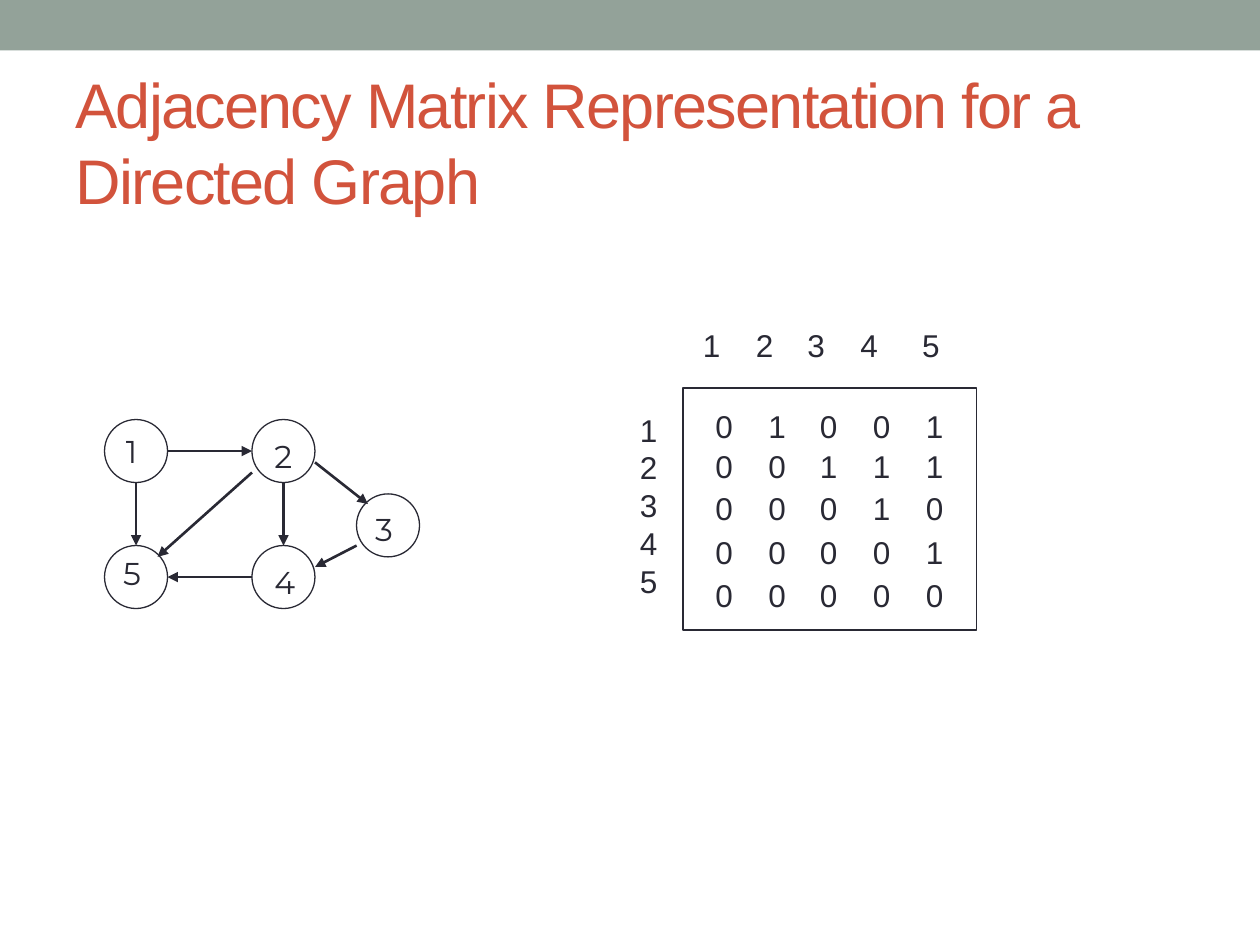
from lxml import etree
from pptx import Presentation
from pptx.dml.color import RGBColor
from pptx.enum.shapes import MSO_CONNECTOR, MSO_SHAPE
from pptx.enum.text import MSO_ANCHOR, MSO_AUTO_SIZE, PP_ALIGN
from pptx.oxml.ns import qn
from pptx.util import Inches, Pt

RECTANGLE, OVAL = MSO_SHAPE.RECTANGLE, MSO_SHAPE.OVAL
STRAIGHT = MSO_CONNECTOR.STRAIGHT
MIDDLE, LEFT, NO_FIT = MSO_ANCHOR.MIDDLE, PP_ALIGN.LEFT, MSO_AUTO_SIZE.NONE

SAGE = RGBColor(0x93, 0xA2, 0x99)
RUST = RGBColor(0xD2, 0x53, 0x3C)
INK = RGBColor(0x29, 0x29, 0x34)

TITLE = "Adjacency Matrix Representation for a Directed Graph"
VERTICES = "12345"
NODE_SIZE = 0.5
NODES = [
    ("1", (0.83, 3.33), (0.9, 3.38)),
    ("5", (0.83, 4.33), (0.88, 4.35)),
    ("4", (2, 4.33), (2.08, 4.42)),
    ("2", (2, 3.33), (2.08, 3.42)),
    ("3", (2.83, 3.92), (2.88, 4)),
]
EDGES = [
    ((2, 3.75), (1.25, 4.42)),
    ((1.08, 3.83), (1.08, 4.33)),
    ((1.33, 3.58), (2, 3.58)),
    ((2, 4.58), (1.33, 4.58)),
    ((2.25, 3.83), (2.25, 4.33)),
    ((2.5, 3.67), (2.92, 4)),
    ((2.83, 4.33), (2.5, 4.5)),
]
MATRIX = [
    (3.18, "01001"),
    (3.5, "00111"),
    (3.83, "00010"),
    (4.18, "00001"),
    (4.52, "00000"),
]
COLUMN_STOPS = [0.42, 0.83, 1.25, 1.67]
HEADER_STOPS = [0.42, 0.83, 1.25, 1.74]


def style_font(font, size, color, name="Arial"):
    font.size = Pt(size)
    font.name = name
    font.color.rgb = color


def add_title(slide):
    title = slide.shapes.title
    title.left, title.top = Inches(0.5), Inches(0.58)
    title.width, title.height = Inches(9), Inches(1.08)
    frame = title.text_frame
    frame.text = TITLE
    frame.auto_size = NO_FIT
    frame.vertical_anchor = MIDDLE
    paragraph = frame.paragraphs[0]
    paragraph.alignment = LEFT
    style_font(paragraph.font, 36, RUST)
    paragraph.runs[0].font._element.set("spc", "-100")


def add_outline(slide, preset, left, top, width, height):
    outline = slide.shapes.add_shape(
        preset, Inches(left), Inches(top), Inches(width), Inches(height))
    outline.shadow.inherit = False
    outline.fill.background()
    outline.line.color.rgb = INK
    outline.line.width = Pt(0.75)


def add_top_bar(slide):
    bar = slide.shapes.add_shape(RECTANGLE, 0, 0, Inches(10), Inches(0.4))
    bar.shadow.inherit = False
    bar.fill.solid()
    bar.fill.fore_color.rgb = SAGE
    bar.line.fill.background()


def add_label(slide, text, left, top, width, height=0.4, font_name="Arial", stops=()):
    label = slide.shapes.add_textbox(
        Inches(left), Inches(top), Inches(width), Inches(height))
    frame = label.text_frame
    frame.word_wrap = True
    frame.text = text
    for paragraph in frame.paragraphs:
        if stops:
            tab_list = etree.SubElement(
                paragraph._p.get_or_add_pPr(), qn("a:tabLst"))
            for stop in stops:
                etree.SubElement(
                    tab_list, qn("a:tab"), pos=str(Inches(stop)), algn="l")
        style_font(paragraph.font, 18, INK, font_name)


def add_edge(slide, start, end):
    edge = slide.shapes.add_connector(
        STRAIGHT, *(Inches(value) for value in start + end))
    edge.line.color.rgb = INK
    edge.line.width = Pt(1.5)
    etree.SubElement(edge.line._get_or_add_ln(), qn("a:tailEnd"), type="triangle")
    etree.SubElement(edge._element.spPr, qn("a:effectLst"))


def add_matrix(slide):
    add_label(slide, "\t".join(VERTICES), 5.48, 2.54, 2.1, stops=HEADER_STOPS)
    add_label(slide, "\n".join(VERTICES), 4.98, 3.21, 0.34, 1.6)
    add_outline(slide, RECTANGLE, 5.42, 3.08, 2.33, 1.92)
    for top, entries in MATRIX:
        add_label(slide, "\t".join(entries), 5.58, top, 2.1, stops=COLUMN_STOPS)


def add_graph(slide):
    for _, corner, _ in NODES:
        add_outline(slide, OVAL, *corner, NODE_SIZE, NODE_SIZE)
    for start, end in EDGES:
        add_edge(slide, start, end)
    for vertex, _, label_corner in NODES:
        add_label(slide, vertex, *label_corner, 0.37, font_name="Montserrat")


def main():
    presentation = Presentation()
    presentation.slide_width = Inches(10)
    presentation.slide_height = Inches(7.5)
    slide = presentation.slides.add_slide(presentation.slide_layouts[5])
    add_top_bar(slide)
    add_title(slide)
    add_matrix(slide)
    add_graph(slide)
    presentation.save("out.pptx")


if __name__ == "__main__":
    main()
